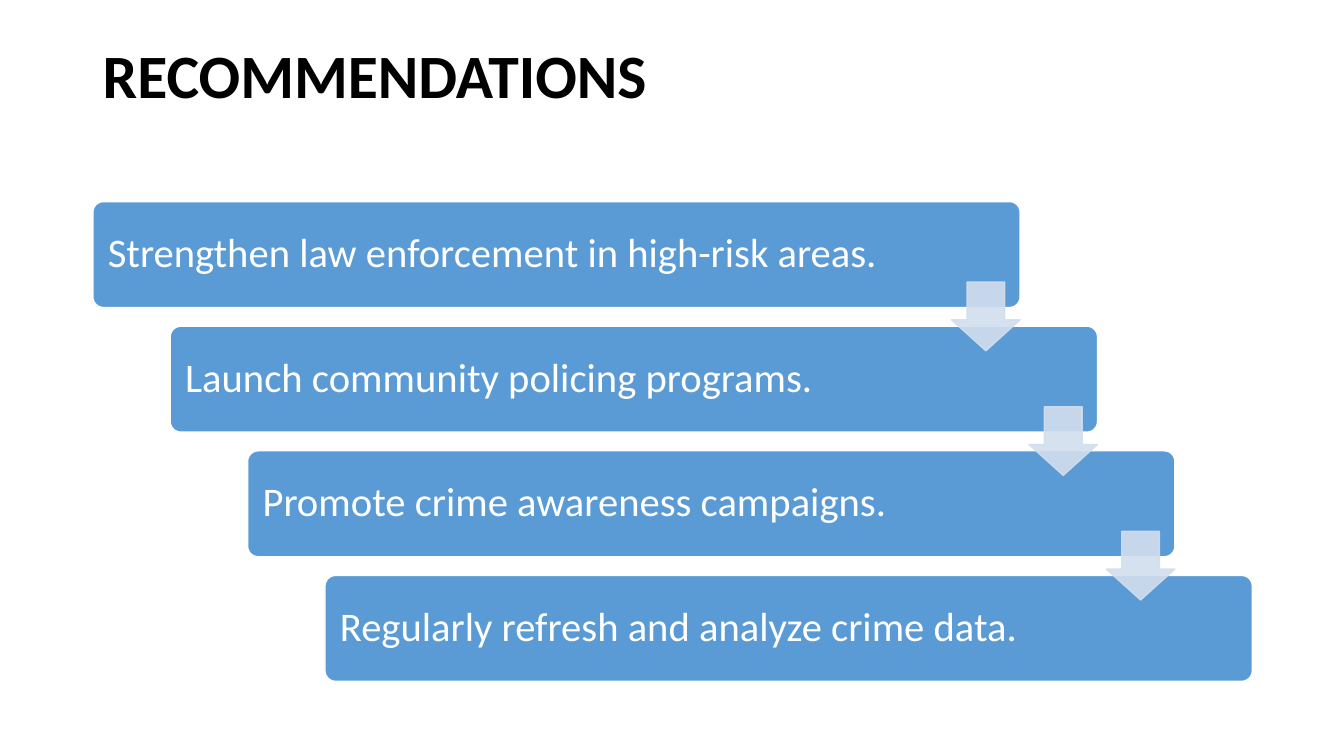
from dataclasses import dataclass
from lxml.etree import SubElement
from pptx import Presentation
from pptx.dml.color import RGBColor as RGB
from pptx.enum.shapes import MSO_SHAPE as Shape
from pptx.enum.text import MSO_ANCHOR as Anchor, PP_ALIGN as Align
from pptx.oxml.ns import qn
from pptx.util import Cm, Pt


@dataclass(frozen=True)
class Theme:
    """Colours, font and type sizes."""
    font: str = "Calibri"
    ink: str = "000000"
    paper: str = "FFFFFF"
    bar: str = "5B9BD5"
    arrow: str = "D2DEEF"
    head: int = 44
    body: int = 29


class Deck:
    """Draws styled elements on the current slide."""

    def __init__(self, theme):
        """Start a blank widescreen slide."""
        self.theme = theme
        self.prs = Presentation()
        self.prs.slide_width, self.prs.slide_height = Cm(33.87), Cm(19.05)
        self.slide = self.prs.slides.add_slide(self.prs.slide_layouts[6])

    def label(self, frame, text, size, color, bold=False):
        """Add one left-aligned run to a text frame."""
        frame.word_wrap = True
        para = frame.paragraphs[0]
        para.alignment = Align.LEFT
        para.line_spacing = 0.9
        run = para.add_run()
        run.text = text
        font = run.font
        font.name, font.size, font.bold = self.theme.font, Pt(size), bold
        font.color.rgb = RGB.from_string(color)

    def title(self, text, x, y, w, h):
        """Add the slide heading."""
        box = self.slide.shapes.add_textbox(Cm(x), Cm(y), Cm(w), Cm(h))
        box.text_frame.vertical_anchor = Anchor.TOP
        self.label(box.text_frame, text, self.theme.head, self.theme.ink, True)

    def shape(self, kind, x, y, w, h, fill, line, adjust):
        """Add a flat preset shape."""
        item = self.slide.shapes.add_shape(kind, Cm(x), Cm(y), Cm(w), Cm(h))
        for i, value in enumerate(adjust):
            item.adjustments[i] = value
        item.shadow.inherit = False
        item.fill.solid()
        item.fill.fore_color.rgb = RGB.from_string(fill)
        item.line.color.rgb = RGB.from_string(line)
        item.line.width = Pt(1)
        return item

    def bar(self, text, x, y, w, h):
        """Add a rounded bar holding one step."""
        item = self.shape(Shape.ROUNDED_RECTANGLE, x, y, w, h,
                          self.theme.bar, self.theme.paper, [0.1])
        frame = item.text_frame
        frame.vertical_anchor = Anchor.MIDDLE
        frame.margin_left = frame.margin_right = Cm(0.3)
        frame.margin_top = frame.margin_bottom = Cm(0.3)
        self.label(frame, text, self.theme.body, self.theme.paper)

    def arrow(self, x, y, side):
        """Add a slightly see-through down arrow."""
        color = self.theme.arrow
        item = self.shape(Shape.DOWN_ARROW, x, y, side, side,
                          color, color, [0.55, 0.45])
        for node in item.element.iter(qn("a:srgbClr")):
            SubElement(node, qn("a:alpha"), val="90000")


def main():
    """Build the slide and save it."""
    deck = Deck(Theme())
    deck.title("RECOMMENDATIONS", 2.34, 1.02, 29.21, 3.68)
    steps = [
        "Strengthen law enforcement in high-risk areas.",
        "Launch community policing programs.",
        "Promote crime awareness campaigns.",
        "Regularly refresh and analyze crime data.",
    ]
    left, top, wide, high = 2.34, 5.08, 23.37, 2.67
    right, down, side = 1.95, 3.14, 1.73
    for i, text in enumerate(steps):
        deck.bar(text, left + i * right, top + i * down, wide, high)
    for i in range(len(steps) - 1):
        deck.arrow(left + wide - side + i * right, 7.11 + i * down, side)
    deck.prs.save("out.pptx")


if __name__ == "__main__":
    main()
